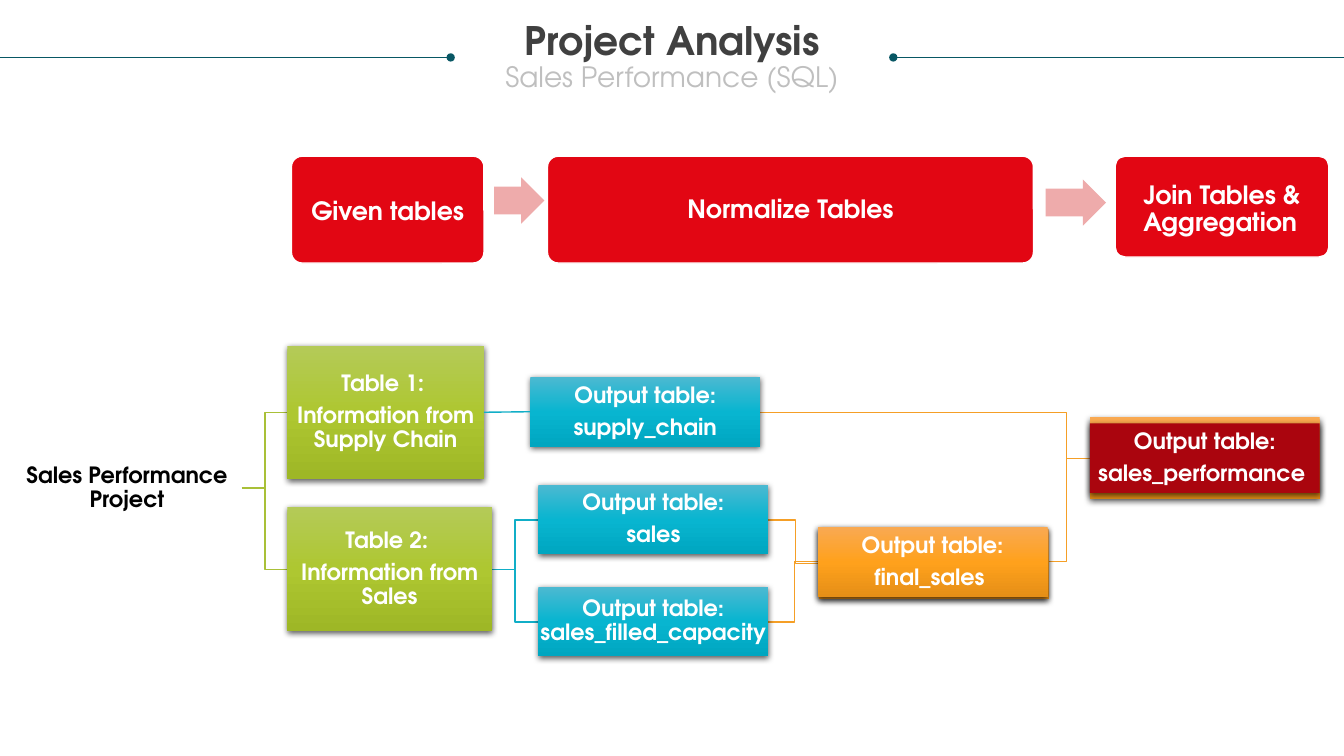
from copy import deepcopy

from lxml.etree import SubElement
from pptx import Presentation
from pptx.dml.color import RGBColor
from pptx.enum.shapes import MSO_CONNECTOR, MSO_SHAPE
from pptx.enum.text import MSO_ANCHOR, PP_ALIGN
from pptx.oxml.ns import qn
from pptx.util import Inches, Pt

FONT = "TeX Gyre Adventor"
COLORS = {
    "title": "404040", "subtitle": "BFBFBF", "rule": "085764",
    "black": "000000", "white": "FFFFFF", "stage": "E20613",
    "arrow": "EEABAB", "dark_red": "AA050E",
    "green_link": "A9C038", "blue_link": "11AEC7", "orange_link": "F59F26",
}
GRADIENTS = {
    "green": ("B4CA58", "AEC731", "9EB726"),
    "blue": ("4CB9D1", "08B5D0", "00A6C0"),
    "orange": ("F9A952", "FFA11C", "E58F17"),
}
BOX_W, BOX_H = 2.28, 0.69


def rgb(name):
    return RGBColor.from_string(COLORS[name])


def style_run(r, size, color, bold=True, font=FONT):
    r.font.name, r.font.size, r.font.bold = font, Pt(size), bold
    r.font.color.rgb = rgb(color)


def set_text(s, lines, size, color="white", align=PP_ALIGN.CENTER,
             anchor=MSO_ANCHOR.MIDDLE, insets=(0.01, 0.01, 0.01, 0.01)):
    """Fill a shape with paragraphs; insets are left, top, right, bottom."""
    tf = s.text_frame
    tf.word_wrap, tf.vertical_anchor = True, anchor
    (tf.margin_left, tf.margin_top,
     tf.margin_right, tf.margin_bottom) = map(Inches, insets)
    tf.text = "\n".join(lines)
    for p in tf.paragraphs:
        p.alignment, p.line_spacing = align, 0.9
        p.space_after = Pt(0.35 * size)
        for r in p.runs:
            style_run(r, size, color)


def add_shape(slide, kind, x, y, w, h, fill=None):
    s = slide.shapes.add_shape(kind, Inches(x), Inches(y), Inches(w), Inches(h))
    s.shadow.inherit = False
    s.line.fill.background()
    if fill:
        s.fill.solid()
        s.fill.fore_color.rgb = rgb(fill)
    return s


def add_shadow(s):
    effects = s._element.spPr.find(qn("a:effectLst"))
    shadow = SubElement(effects, qn("a:outerShdw"), blurRad=str(Pt(4.5)),
                        dist=str(Pt(1.5)), dir="5400000", rotWithShape="0")
    color = SubElement(shadow, qn("a:srgbClr"), val=COLORS["black"])
    SubElement(color, qn("a:alpha"), val="63000")


def add_box(slide, x, y, w, h, fill, lines=()):
    """Shadowed box with a gradient or a plain fill."""
    s = add_shape(slide, MSO_SHAPE.RECTANGLE, x, y, w, h,
                  fill if fill in COLORS else None)
    if fill in GRADIENTS:
        s.fill.gradient()
        s.fill.gradient_angle = 270
        stops = s._element.spPr.find(qn("a:gradFill")).find(qn("a:gsLst"))
        stops.insert(1, deepcopy(stops[0]))
        for i, stop in enumerate(s.fill.gradient_stops):
            stop.position = i / 2
            stop.color.rgb = RGBColor.from_string(GRADIENTS[fill][i])
    add_shadow(s)
    if lines:
        set_text(s, lines, 16)
    return s


def add_source_table(slide, y, w, h, title, info):
    s = add_box(slide, 2.85, y, w, h, "green", [title, info])
    r = s.text_frame.paragraphs[0].add_run()
    r.text = ": "
    style_run(r, 16, "white", font="Roboto")
    return s


def add_stage(slide, x, w, h, label, top, left=0.16, right=0.16,
              align=PP_ALIGN.CENTER):
    s = add_shape(slide, MSO_SHAPE.ROUNDED_RECTANGLE, x, 1.55, w, h, "stage")
    s.adjustments[0] = 0.1
    s.line.color.rgb = rgb("white")
    s.line.width = Pt(1)
    set_text(s, [label], 18, align=align, anchor=MSO_ANCHOR.TOP,
             insets=(left, top, right, 0.08))


def add_arrow(slide, x, y, w):
    s = add_shape(slide, MSO_SHAPE.RIGHT_ARROW, x, y, w, 0.46, "arrow")
    s.adjustments[0] = 0.6


def add_line(slide, x1, y1, x2, y2, color, width):
    c = slide.shapes.add_connector(MSO_CONNECTOR.STRAIGHT, Inches(x1),
                                   Inches(y1), Inches(x2), Inches(y2))
    c.line.color.rgb = rgb(color)
    c.line.width = Pt(width)
    SubElement(c._element.spPr, qn("a:effectLst"))
    return c


def add_title_rule(slide, x1, x2, dot_end):
    c = add_line(slide, x1, 0.57, x2, 0.57, "rule", 0.5)
    SubElement(c.line._get_or_add_ln(), qn(dot_end), type="oval")


def add_elbow(slide, x1, y1, bend, x2, y2, color):
    """Three-part link that turns at x = bend."""
    points = [(x1, y1), (bend, y1), (bend, y2), (x2, y2)]
    points = [(Inches(x), Inches(y)) for x, y in points]
    builder = slide.shapes.build_freeform(*points[0])
    builder.add_line_segments(points[1:], close=False)
    s = builder.convert_to_shape()
    s.shadow.inherit = False
    s.fill.background()
    s.line.color.rgb = rgb(color)
    s.line.width = Pt(1)


def add_title(slide):
    s = slide.shapes.add_textbox(Inches(0.25), Inches(0.21),
                                 Inches(12.83), Inches(0.73))
    set_text(s, ["Project Analysis\vSales Performance (SQL)"], 28, "title",
             anchor=MSO_ANCHOR.TOP, insets=(0, 0, 0, 0))
    style_run(s.text_frame.paragraphs[0].runs[1], 20, "subtitle", bold=False)
    add_title_rule(slide, 0, 4.47, "a:tailEnd")
    add_title_rule(slide, 8.86, 13.33, "a:headEnd")


def add_stages(slide):
    add_stage(slide, 2.89, 1.91, 1.06, "Given tables", 0.39, 0.08, 0.08)
    add_arrow(slide, 4.9, 1.76, 0.5)
    add_stage(slide, 5.43, 4.82, 1.06, "Normalize Tables", 0.37)
    add_arrow(slide, 10.37, 1.78, 0.6)
    add_stage(slide, 11.06, 2.12, 1, "Join Tables & Aggregation", 0.23,
              0.25, 0.07, PP_ALIGN.LEFT)


def add_tree(slide):
    # Links
    for link in [
        (10.38, 5.57, 10.58, 10.81, 4.55, "orange_link"),
        (7.62, 6.17, 7.88, 8.11, 5.57, "orange_link"),
        (4.88, 5.65, 5.11, 5.34, 6.17, "blue_link"),
        (7.62, 5.16, 7.89, 8.12, 5.59, "orange_link"),
        (4.88, 5.65, 5.11, 5.34, 5.16, "blue_link"),
        (2.4, 4.84, 2.63, 2.85, 5.65, "green_link"),
        (7.54, 4.09, 10.58, 10.81, 4.55, "orange_link"),
        (2.4, 4.84, 2.63, 2.85, 4.09, "green_link"),
    ]:
        add_elbow(slide, *link)

    # Project and its source tables
    s = slide.shapes.add_textbox(Inches(0.12), Inches(4.5),
                                 Inches(BOX_W), Inches(BOX_H))
    set_text(s, ["Sales Performance Project"], 16, "black")
    supply_source = add_source_table(slide, 3.43, 1.95, 1.32, "Table 1",
                                     "Information from Supply Chain")
    add_source_table(slide, 5.03, 2.03, 1.23, "Table 2",
                     "Information from Sales")

    # Output tables, with two orange backing boxes
    add_box(slide, 10.81, 4.14, BOX_W, 0.81, "orange")
    add_box(slide, 8.12, 5.25, BOX_W, BOX_H, "orange")
    heading = "Output table:"
    outputs = [add_box(slide, x, y, BOX_W, BOX_H, fill, lines)
               for x, y, fill, lines in [
        (5.26, 3.74, "blue", [heading, "supply_chain"]),
        (5.34, 4.81, "blue", [heading, "sales"]),
        (5.34, 5.82, "blue", [heading + " sales_filled_capacity"]),
        (8.11, 5.23, "orange", [heading, "final_sales "]),
        (10.81, 4.2, "dark_red", [heading, "sales_performance "]),
    ]]
    c = add_line(slide, 4.8, 4.09, 5.26, 4.09, "blue_link", 1)
    c.begin_connect(supply_source, 3)
    c.end_connect(outputs[0], 1)


def main():
    prs = Presentation()
    prs.slide_width, prs.slide_height = Inches(13.33), Inches(7.5)
    slide = prs.slides.add_slide(prs.slide_layouts[6])
    add_title(slide)
    add_stages(slide)
    add_tree(slide)
    prs.save("out.pptx")


if __name__ == "__main__":
    main()
